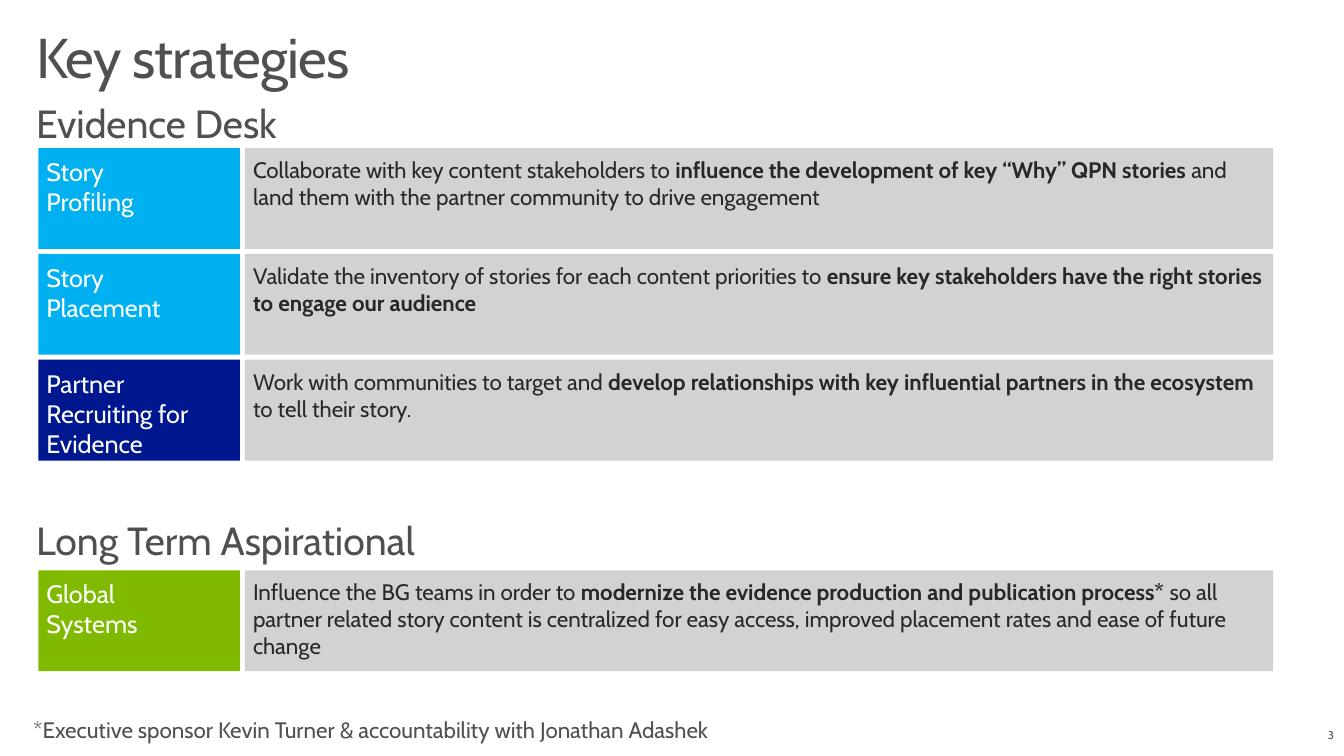
from pptx import Presentation
from pptx.dml.color import RGBColor
from pptx.enum.shapes import MSO_SHAPE as Shape
from pptx.enum.text import MSO_ANCHOR as Anchor, MSO_AUTO_SIZE as AutoSize, PP_ALIGN as Align
from pptx.util import Pt

FONT = "Cabin"
GREY, INK, PANEL, WHITE = "505050", "282828", "D2D2D2", "FFFFFF"
CYAN, NAVY, GREEN = "00B0F0", "00188F", "7FBA00"

# Grid, in points
HEADING_LEFT, HEADING_WIDTH = 18.7, 923
LABEL_LEFT, LABEL_WIDTH = 27.4, 144
DETAIL_LEFT, DETAIL_WIDTH = 175, 734.4
ROW_HEIGHT, ROW_PITCH = 72, 75.6
BOX_INSET = 5.76

# Each detail alternates plain and bold runs
EVIDENCE_ROWS = [
    (["Story", "Profiling"], CYAN,
     ["Collaborate with key content stakeholders to ",
      "influence the development of key “Why” QPN stories ",
      "and land them with the partner community to drive engagement"]),
    (["Story", "Placement"], CYAN,
     ["Validate the inventory of stories for each content priorities to ",
      "ensure key stakeholders have the right stories to engage our audience"]),
    (["Partner", "Recruiting for Evidence"], NAVY,
     ["Work with communities to target and ",
      "develop relationships with key influential partners in the ecosystem ",
      "to tell their story."]),
]
LONG_TERM_ROWS = [
    (["Global", "Systems"], GREEN,
     ["Influence the BG teams in order to ",
      "modernize the evidence production and publication process*",
      " so all partner related story content is centralized for easy access, "
      "improved placement rates and ease of future change"]),
]


def color(hex_string):
    return RGBColor.from_string(hex_string)


def write(frame, paragraphs, size, ink=GREY, align=Align.LEFT, anchor=Anchor.TOP,
          inset=None, line_spacing=None, tracking=None):
    """Fill a text frame; each paragraph is a list of alternating plain and bold runs."""
    frame.word_wrap = True
    frame.auto_size = AutoSize.NONE
    frame.vertical_anchor = anchor
    if inset is not None:
        frame.margin_left = frame.margin_right = Pt(inset)
        frame.margin_top = frame.margin_bottom = Pt(inset)
    for index, runs in enumerate(paragraphs):
        paragraph = frame.add_paragraph() if index else frame.paragraphs[0]
        paragraph.alignment = align
        if line_spacing:
            paragraph.line_spacing = line_spacing
        for position, text in enumerate(runs):
            run = paragraph.add_run()
            run.text = text
            font = run.font
            font.name, font.size, font.bold = FONT, Pt(size), position % 2 == 1
            font.color.rgb = color(ink)
            if tracking:
                run._r.get_or_add_rPr().set("spc", str(round(tracking * 100)))


class StrategySlide:
    def __init__(self, presentation):
        self.slide = presentation.slides.add_slide(presentation.slide_layouts[5])

    def title(self, text, left, top, width, height):
        shape = self.slide.shapes.title
        shape.left, shape.top, shape.width, shape.height = map(Pt, (left, top, width, height))
        write(shape.text_frame, [[text]], 40, anchor=Anchor.BOTTOM,
              line_spacing=0.9, tracking=-0.6)

    def text(self, text, left, top, width, height, size, **style):
        shape = self.slide.shapes.add_textbox(*map(Pt, (left, top, width, height)))
        write(shape.text_frame, [[text]], size, **style)

    def heading(self, text, top):
        self.text(text, HEADING_LEFT, top, HEADING_WIDTH, 39.6, 28)

    def box(self, paragraphs, left, top, width, fill, size, ink):
        shape = self.slide.shapes.add_shape(
            Shape.RECTANGLE, *map(Pt, (left, top, width, ROW_HEIGHT)))
        shape.shadow.inherit = False
        shape.fill.solid()
        shape.fill.fore_color.rgb = color(fill)
        shape.line.fill.background()
        write(shape.text_frame, paragraphs, size, ink=ink, inset=BOX_INSET)

    def rows(self, rows, top):
        for index, (label, fill, detail) in enumerate(rows):
            row_top = top + index * ROW_PITCH
            self.box([[line] for line in label], LABEL_LEFT, row_top,
                     LABEL_WIDTH, fill, 18, WHITE)
            self.box([detail], DETAIL_LEFT, row_top, DETAIL_WIDTH, PANEL, 16, INK)


def main():
    presentation = Presentation()
    presentation.slide_width, presentation.slide_height = Pt(960), Pt(540)
    page = StrategySlide(presentation)

    # Title and evidence desk
    page.title("Key strategies", HEADING_LEFT, 17.3, HEADING_WIDTH, 51.1)
    page.heading("Evidence Desk", 67.7)
    page.rows(EVIDENCE_ROWS, 105.8)

    # Long term
    page.heading("Long Term Aspirational", 365)
    page.rows(LONG_TERM_ROWS, 407.5)

    # Footnote and page number
    page.text("*Executive sponsor Kevin Turner & accountability with Jonathan Adashek",
              16.6, 508.3, 702, 26.6, 16)
    page.text("3", 900, 510.5, 60, 29.5, 8, align=Align.RIGHT, anchor=Anchor.MIDDLE)

    presentation.save("out.pptx")


if __name__ == "__main__":
    main()
